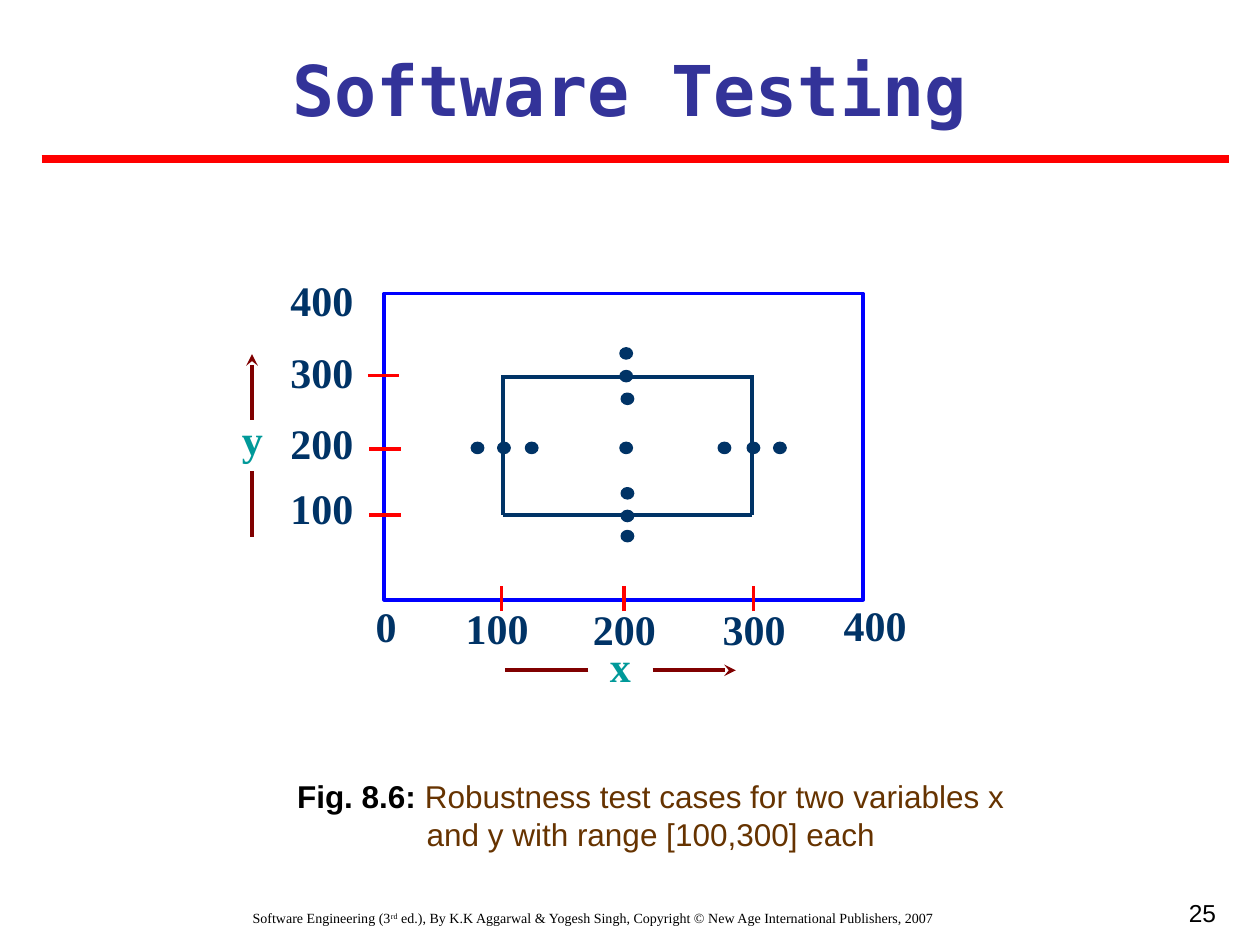
from typing import NamedTuple

from lxml.etree import SubElement
from pptx import Presentation
from pptx.dml.color import RGBColor
from pptx.enum.shapes import MSO_CONNECTOR as Connector, MSO_SHAPE as Shape
from pptx.enum.text import MSO_ANCHOR as Anchor, PP_ALIGN as Align
from pptx.oxml.ns import qn
from pptx.util import Inches, Pt

SERIF, SANS, MONO = "Times New Roman", "Arial", "DejaVu Sans Mono"
NAVY, RED, MAROON, TEAL, BLACK = "003366", "FF0000", "800000", "009999", "000000"
DOT_WIDTH, DOT_HEIGHT = 0.1, 0.09


class Run(NamedTuple):
    text: str
    color: str = BLACK
    bold: bool = False
    superscript: bool = False


class Label(NamedTuple):
    text: str
    left: float
    top: float
    width: float = 0.61
    height: float = 0.42


class Line(NamedTuple):
    x1: float
    y1: float
    x2: float
    y2: float
    arrow: bool = False


class Dot(NamedTuple):
    left: float
    top: float


def rgb(hex_color: str) -> RGBColor:
    return RGBColor.from_string(hex_color)


def add_text(slide, runs: list[Run], left: float, top: float, width: float, height: float, *,
             size: float, font: str, align=Align.CENTER, anchor=Anchor.TOP,
             inset: bool = False) -> None:
    box = slide.shapes.add_textbox(Inches(left), Inches(top), Inches(width), Inches(height))
    frame = box.text_frame
    frame.word_wrap = True
    frame.vertical_anchor = anchor
    if not inset:
        frame.margin_left = frame.margin_right = frame.margin_top = frame.margin_bottom = 0
    paragraph = frame.paragraphs[0]
    paragraph.alignment = align
    for part in runs:
        run = paragraph.add_run()
        run.text = part.text
        run.font.name = font
        run.font.size = Pt(size)
        run.font.bold = part.bold
        run.font.color.rgb = rgb(part.color)
        if part.superscript:
            run._r.get_or_add_rPr().set("baseline", "30000")


def add_line(slide, line: Line, color: str, weight: float = 2.25) -> None:
    connector = slide.shapes.add_connector(
        Connector.STRAIGHT, Inches(line.x1), Inches(line.y1), Inches(line.x2), Inches(line.y2))
    connector.line.color.rgb = rgb(color)
    connector.line.width = Pt(weight)
    if line.arrow:
        SubElement(connector.line._get_or_add_ln(), qn("a:tailEnd"), type="stealth")
    SubElement(connector._element.spPr, qn("a:effectLst"))


def add_outline(slide, preset: Shape, left: float, top: float, width: float, height: float, *,
                color: str, weight: float, filled: bool = False) -> None:
    shape = slide.shapes.add_shape(
        preset, Inches(left), Inches(top), Inches(width), Inches(height))
    shape.shadow.inherit = False
    if filled:
        shape.fill.solid()
        shape.fill.fore_color.rgb = rgb(color)
    else:
        shape.fill.background()
    shape.line.color.rgb = rgb(color)
    shape.line.width = Pt(weight)


SCALE_LABELS = [
    Label("400", 2.25, 2.17), Label("300", 2.25, 2.74),
    Label("200", 2.25, 3.3), Label("100", 2.25, 3.82),
    Label("0", 2.92, 4.8, 0.29, 0.33), Label("100", 3.64, 4.77),
    Label("200", 4.65, 4.78), Label("300", 5.68, 4.78), Label("400", 6.64, 4.75),
]
AXIS_NAMES = [Label("y", 1.92, 3.28, 0.16, 0.4), Label("x", 4.84, 5.08, 0.16, 0.4)]
AXIS_ARROWS = [
    Line(2, 3.74, 2, 4.26), Line(2, 3.33, 2, 2.81, arrow=True),
    Line(4.67, 5.32, 4.01, 5.32), Line(5.18, 5.32, 5.84, 5.32, arrow=True),
]
TICKS = ([Line(left, y, left + 0.25, y) for left, y in ((2.92, 2.98), (2.93, 3.56), (2.93, 4.09))]
         + [Line(x, 4.85, x, 4.65) for x in (3.98, 4.95, 5.98)])
VALID_RANGE = [
    Line(3.99, 2.99, 5.98, 2.99), Line(3.99, 4.09, 5.97, 4.09),
    Line(3.99, 2.98, 3.99, 4.09), Line(5.97, 2.98, 5.97, 4.09),
]
TEST_CASES = ([Dot(left, 3.51) for left in (3.74, 3.95, 4.17, 4.92, 5.7, 5.93, 6.14)]
              + [Dot(4.92, 2.76), Dot(4.92, 2.94)]
              + [Dot(4.93, top) for top in (3.12, 3.87, 4.05, 4.21)])


def main() -> None:
    deck = Presentation()
    deck.slide_width, deck.slide_height = Inches(10), Inches(7.5)
    slide = deck.slides.add_slide(deck.slide_layouts[6])

    # Footer and page number
    footer = [
        Run("Software Engineering (3"), Run("rd", superscript=True),
        Run(" ed.), By K.K Aggarwal & Yogesh Singh, "
            "Copyright © New Age International Publishers, 2007"),
    ]
    add_text(slide, footer, 0.25, 7.17, 8.92, 0.33, size=8, font=SERIF, inset=True)
    add_text(slide, [Run("25")], 7.42, 7.08, 2.33, 0.59, size=14, font=SANS,
             align=Align.RIGHT, inset=True)

    # Title and rule
    add_text(slide, [Run("Software Testing", "333399", bold=True)], 0.33, 0.32, 9.33, 0.77,
             size=40, font=MONO, inset=True)
    add_line(slide, Line(0.33, 1.26, 9.75, 1.26), RED, weight=4.5)

    # Figure caption
    caption = [
        Run("Fig. 8.6: ", bold=True),
        Run("Robustness test cases for two variables x and y with range [100,300] each", "663300"),
    ]
    add_text(slide, caption, 2.25, 6.17, 5.83, 0.6, size=18, font=SANS)

    # Axis names, arrows and scales
    for name in AXIS_NAMES:
        add_text(slide, [Run(name.text, TEAL, bold=True)], *name[1:], size=24, font=SERIF)
    for arrow in AXIS_ARROWS:
        add_line(slide, arrow, MAROON)
    for label in SCALE_LABELS:
        add_text(slide, [Run(label.text, NAVY, bold=True)], *label[1:], size=24, font=SERIF,
                 anchor=Anchor.MIDDLE)

    # Input domain with ticks, valid range and test cases
    add_outline(slide, Shape.RECTANGLE, 3.05, 2.33, 3.8, 2.43, color="0000FF", weight=2.25)
    for tick in TICKS:
        add_line(slide, tick, RED)
    for side in VALID_RANGE:
        add_line(slide, side, NAVY)
    for case in TEST_CASES:
        add_outline(slide, Shape.OVAL, case.left, case.top, DOT_WIDTH, DOT_HEIGHT,
                    color=NAVY, weight=0.75, filled=True)

    deck.save("out.pptx")


if __name__ == "__main__":
    main()
